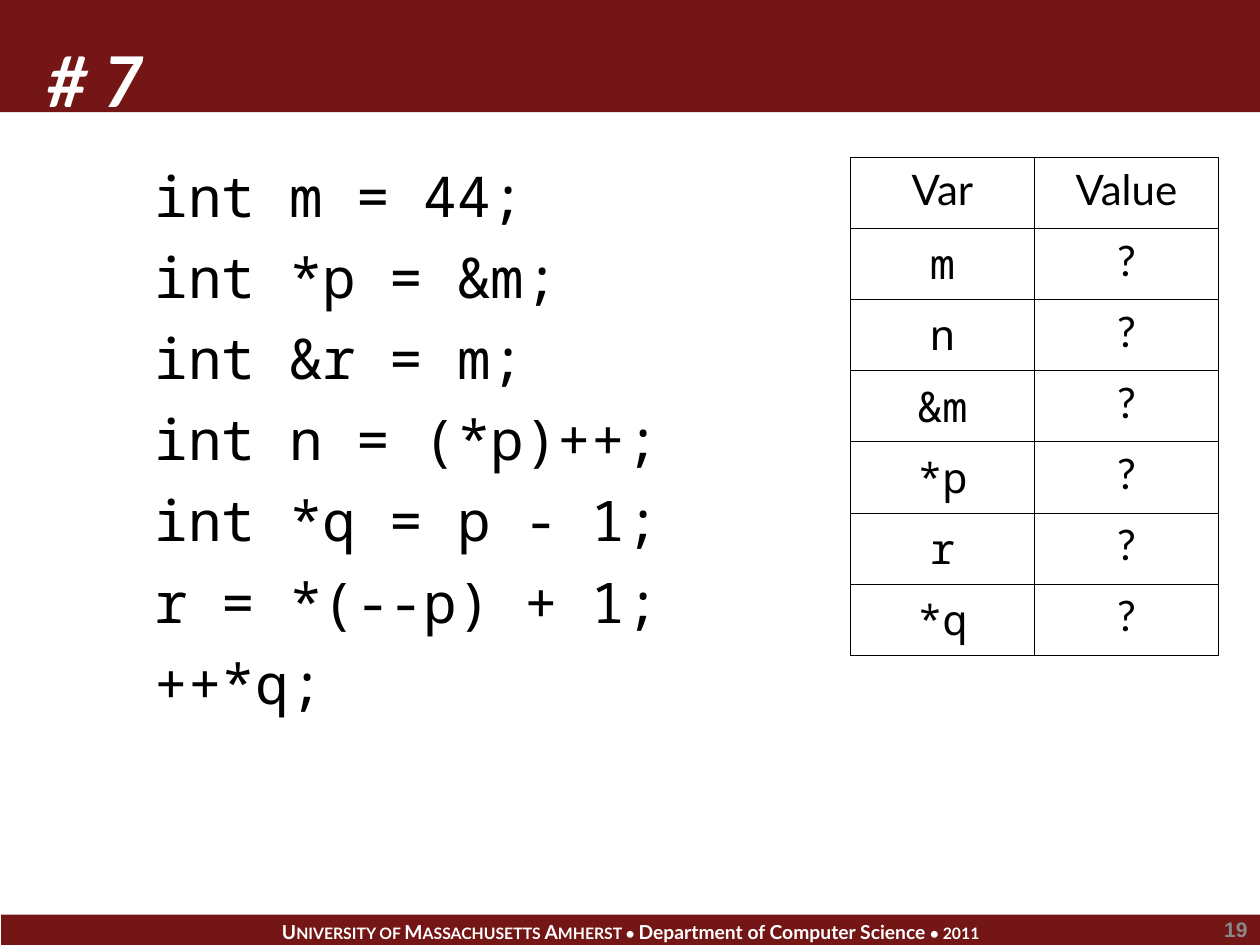
from lxml import etree
from pptx import Presentation
from pptx import util as u
from pptx.dml.color import RGBColor
from pptx.enum import shapes, text
from pptx.oxml.ns import qn

MAROON, WHITE, BLACK, GRAY = "741615", "FFFFFF", "000000", "898989"
SANS, MONO = "Lato", "Noto Sans Mono"

CODE = [
    "int m = 44;",
    "int *p = &m;",
    "int &r = m;",
    "int n = (*p)++;",
    "int *q = p - 1;",
    "r = *(--p) + 1;",
    "++*q;",
]
VARIABLES = ["m", "n", "&m", "*p", "r", "*q"]
FOOTER = [
    ("U", 11), ("NIVERSITY OF ", 9), ("M", 11), ("ASSACHUSETTS ", 9),
    ("A", 11), ("MHERST • ", 9), ("Department of Computer Science", 11),
    (" • 2011", 9),
]


def color(value):
    return RGBColor.from_string(value)


def add_run(paragraph, content, size=24, font=SANS, fill=BLACK,
            bold=False, italic=False):
    run = paragraph.add_run()
    run.text = content
    run.font.size = u.Pt(size)
    run.font.name = font
    run.font.color.rgb = color(fill)
    run.font.bold = bold
    run.font.italic = italic


def add_bar(slide, left, top, width, height):
    bar = slide.shapes.add_shape(
        shapes.MSO_SHAPE.RECTANGLE, u.Inches(left), u.Inches(top),
        u.Inches(width), u.Inches(height))
    bar.shadow.inherit = False
    bar.fill.solid()
    bar.fill.fore_color.rgb = color(MAROON)
    bar.line.fill.background()
    return bar


def add_text(slide, box, lines, align=text.PP_ALIGN.LEFT,
             anchor=text.MSO_ANCHOR.TOP, space_before=0, **style):
    frame = slide.shapes.add_textbox(*map(u.Inches, box)).text_frame
    frame.word_wrap = True
    frame.vertical_anchor = anchor
    for index, line in enumerate(lines):
        paragraph = frame.add_paragraph() if index else frame.paragraphs[0]
        paragraph.alignment = align
        if index:
            paragraph.space_before = u.Pt(space_before)
        add_run(paragraph, line, **style)


def add_footer(slide):
    frame = add_bar(slide, 0.01, 7.26, 9.99, 0.27).text_frame
    frame.word_wrap = True
    frame.vertical_anchor = text.MSO_ANCHOR.TOP
    paragraph = frame.paragraphs[0]
    paragraph.alignment = text.PP_ALIGN.CENTER
    paragraph.line_spacing = 0.99
    for content, size in FOOTER:
        add_run(paragraph, content, size=size, fill=WHITE, bold=True)


def set_borders(cell):
    properties = cell._tc.get_or_add_tcPr()
    for position, side in enumerate(("lnL", "lnR", "lnT", "lnB")):
        line = etree.Element(qn(f"a:{side}"), w=str(u.Pt(0.45)))
        fill = etree.SubElement(line, qn("a:solidFill"))
        etree.SubElement(fill, qn("a:srgbClr"), val=BLACK)
        properties.insert(position, line)


def add_value_table(slide):
    rows = [("Var", "Value")] + [(name, "?") for name in VARIABLES]
    table = slide.shapes.add_table(
        len(rows), 2, u.Inches(6.75), u.Inches(1.25),
        u.Inches(2.92), u.Inches(3.95)).table
    table.first_row = False
    table.horz_banding = False
    for row_index, row in enumerate(rows):
        for column_index, content in enumerate(row):
            cell = table.cell(row_index, column_index)
            cell.fill.background()
            set_borders(cell)
            paragraph = cell.text_frame.paragraphs[0]
            paragraph.alignment = text.PP_ALIGN.CENTER
            is_name = row_index > 0 and column_index == 0
            add_run(paragraph, content, font=MONO if is_name else SANS)


def main():
    presentation = Presentation()
    presentation.slide_width = u.Inches(10)
    presentation.slide_height = u.Inches(7.5)
    slide = presentation.slides.add_slide(presentation.slide_layouts[6])

    # Footer and header bars
    add_footer(slide)
    add_bar(slide, 0, 0, 10, 0.89)

    # Title, code and page number
    add_text(slide, (0.28, 0.12, 8.33, 0.89), ["# 7"], size=40, fill=WHITE,
             bold=True, italic=True, anchor=text.MSO_ANCHOR.BOTTOM)
    add_text(slide, (0.33, 1.23, 9.67, 5.85),
             ["   " + line for line in CODE],
             size=32, font=MONO, space_before=8)
    add_text(slide, (8.5, 7.25, 1.5, 0.25), ["19"], size=12, font="Arial",
             fill=GRAY, bold=True, align=text.PP_ALIGN.RIGHT,
             anchor=text.MSO_ANCHOR.MIDDLE)

    # Variable values
    add_value_table(slide)

    presentation.save("out.pptx")


if __name__ == "__main__":
    main()
